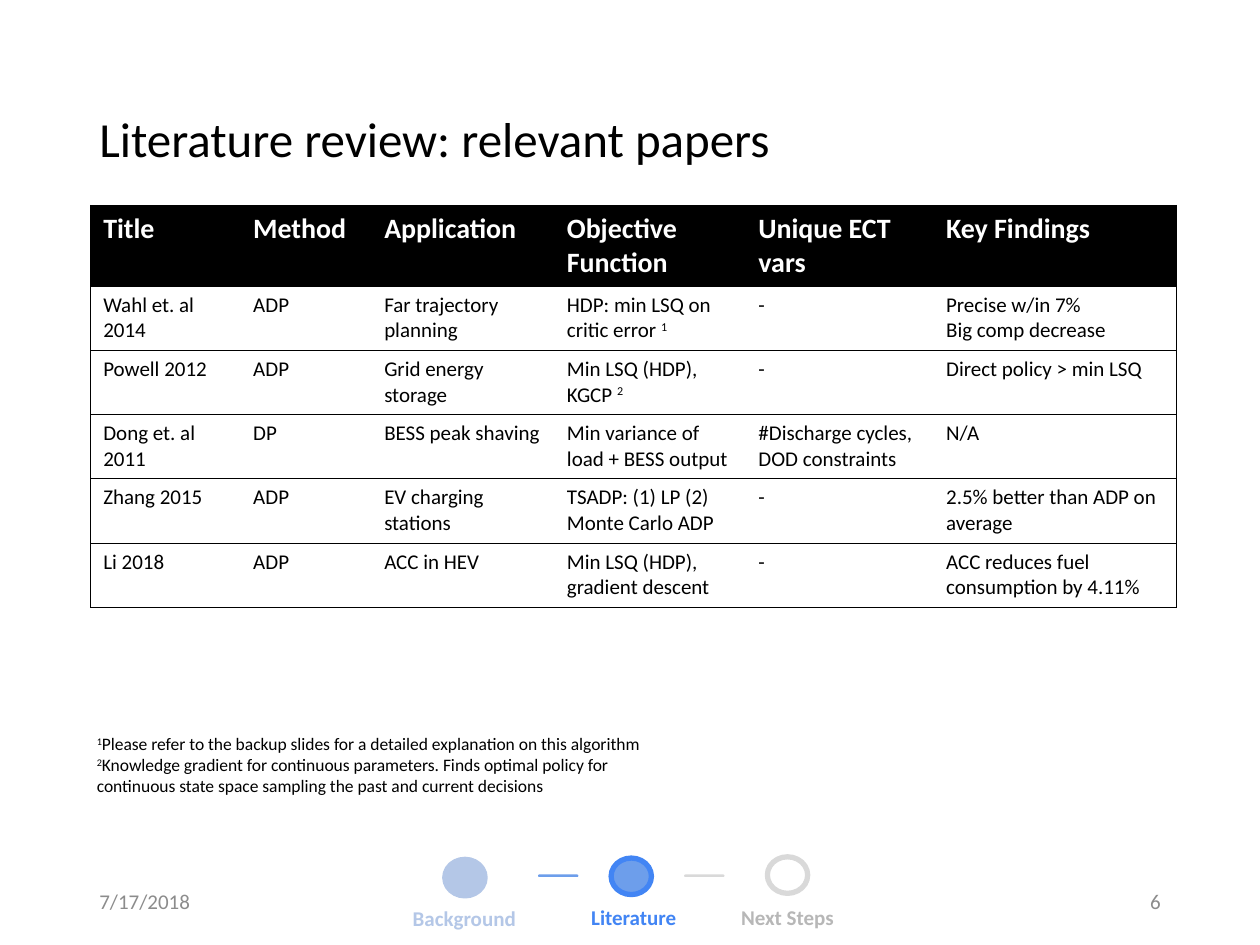
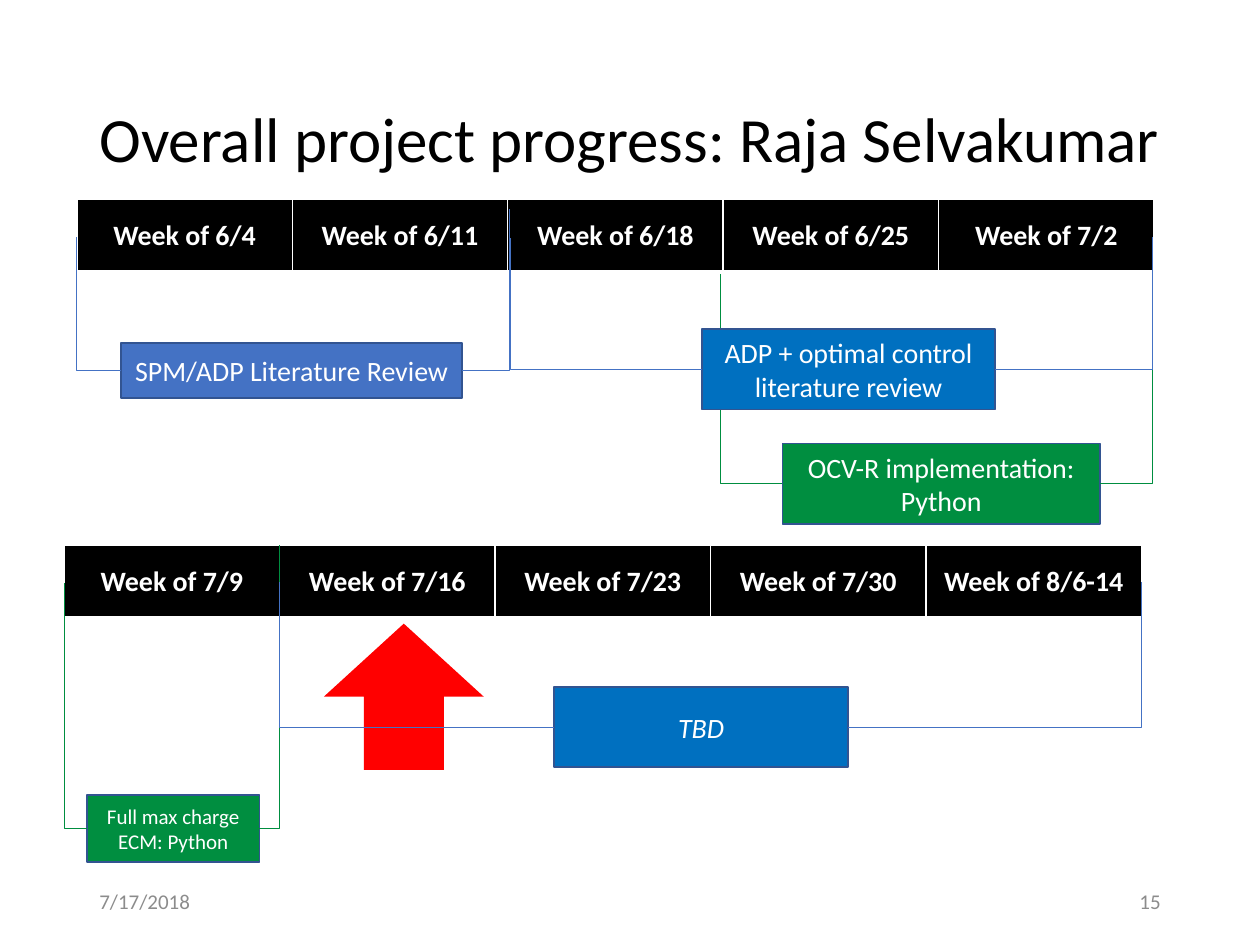
from lxml import etree
from pptx import Presentation
from pptx.dml.color import RGBColor
from pptx.enum.shapes import MSO_CONNECTOR, MSO_SHAPE
from pptx.enum.text import MSO_ANCHOR, PP_ALIGN
from pptx.oxml.ns import qn
from pptx.util import Emu, Pt

PX = 9144
FONT = "Calibri"
NO_TABLE_STYLE = "{2D5ABB26-0587-4C30-8999-92F81FD0307C}"
LEFT, CENTER, RIGHT = PP_ALIGN.LEFT, PP_ALIGN.CENTER, PP_ALIGN.RIGHT
TOP, MIDDLE, BOTTOM = MSO_ANCHOR.TOP, MSO_ANCHOR.MIDDLE, MSO_ANCHOR.BOTTOM
RECTANGLE, OVAL = MSO_SHAPE.RECTANGLE, MSO_SHAPE.OVAL
PILL, UP_ARROW = MSO_SHAPE.ROUNDED_RECTANGLE, MSO_SHAPE.UP_ARROW
ELBOW = MSO_CONNECTOR.ELBOW
LEFT_SITE, RIGHT_SITE = 1, 3

BLACK = RGBColor(0x00, 0x00, 0x00)
WHITE = RGBColor(0xFF, 0xFF, 0xFF)
FOOTER_GRAY = RGBColor(0x8C, 0x8C, 0x8C)
BLUE = RGBColor(0x44, 0x72, 0xC4)
DEEP_BLUE = RGBColor(0x00, 0x70, 0xC0)
OUTLINE = RGBColor(0x32, 0x54, 0x91)
GREEN = RGBColor(0x00, 0x8E, 0x40)
RED = RGBColor(0xFF, 0x00, 0x00)
PALE_BLUE = RGBColor(0xB4, 0xC7, 0xE7)
SOFT_BLUE = RGBColor(0x6D, 0x9E, 0xEB)
BRIGHT_BLUE = RGBColor(0x42, 0x85, 0xF4)
PALE_GRAY = RGBColor(0xD9, 0xD9, 0xD9)
LABEL_GRAY = RGBColor(0xB7, 0xB7, 0xB7)

PAPERS = [
    ["Title", "Method", "Application", "Objective Function",
     "Unique ECT vars", "Key Findings"],
    ["Wahl et. al 2014", "ADP", "Far trajectory planning",
     "HDP: min LSQ on critic error ^1^", "-",
     "Precise w/in 7%\nBig comp decrease"],
    ["Powell 2012", "ADP", "Grid energy storage",
     "Min LSQ (HDP), KGCP ^2^", "-", "Direct policy > min LSQ"],
    ["Dong et. al 2011", "DP", "BESS peak shaving",
     "Min variance of load + BESS output",
     "#Discharge cycles, DOD constraints", "N/A"],
    ["Zhang 2015", "ADP", "EV charging stations",
     "TSADP: (1) LP (2) Monte Carlo ADP", "-",
     "2.5% better than ADP on average"],
    ["Li 2018", "ADP", "ACC in HEV", "Min LSQ (HDP), gradient descent",
     "-", "ACC reduces fuel consumption by 4.11%"],
]
FOOTNOTES = (
    "^1^Please refer to the backup slides for a detailed explanation on this "
    "algorithm\n^2^Knowledge gradient for continuous parameters. Finds optimal "
    "policy for continuous state space sampling the past and current decisions"
)


def set_all(target, values):
    for name, value in values.items():
        setattr(target, name, value)


class Deck:
    def __init__(self):
        self.deck = Presentation()
        set_all(self.deck, {"slide_width": 1000 * PX, "slide_height": 750 * PX})
        self.page = None

    def add_page(self, title, size, number):
        self.page = self.deck.slides.add_slide(self.deck.slide_layouts[6])
        self.text((69, 40, 862, 145), title, size, anchor=MIDDLE, spacing=0.9)
        self.text((69, 695, 225, 40), "7/17/2018", 12, FOOTER_GRAY,
                  anchor=MIDDLE)
        self.text((706, 695, 225, 40), number, 12, FOOTER_GRAY,
                  align=RIGHT, anchor=MIDDLE)

    def place(self, area):
        return [Emu(length * PX) for length in area]

    def fill_text(self, frame, text, size, color=BLACK, align=LEFT,
                  spacing=1.0, **style):
        frame.word_wrap = True
        for index, line in enumerate(text.split("\n")):
            para = frame.add_paragraph() if index else frame.paragraphs[0]
            set_all(para, {"alignment": align, "line_spacing": spacing})
            for part, words in enumerate(line.split("^")):
                if not words:
                    continue
                span = para.add_run()
                span.text = words
                set_all(span.font, {"name": FONT, "size": Pt(size), **style})
                span.font.color.rgb = color
                if part % 2:
                    span.font._element.set("baseline", "30000")

    def text(self, area, text, size, color=BLACK, anchor=TOP, inset=None,
             **style):
        frame = self.page.shapes.add_textbox(*self.place(area)).text_frame
        frame.vertical_anchor = anchor
        if inset is not None:
            sides = ("left", "top", "right", "bottom")
            set_all(frame, {f"margin_{side}": inset * PX for side in sides})
        self.fill_text(frame, text, size, color, **style)

    def shape(self, kind, area, fill=None, line=None, width=1):
        box = self.page.shapes.add_shape(kind, *self.place(area))
        box.shadow.inherit = False
        for paint, color in ((box.fill, fill), (box.line.fill, line)):
            if color is None:
                paint.background()
            else:
                paint.solid()
                paint.fore_color.rgb = color
        if line is not None:
            box.line.width = Pt(width)
        return box

    def task(self, area, text, fill, size=16, **style):
        box = self.shape(RECTANGLE, area, fill, OUTLINE)
        box.text_frame.vertical_anchor = MIDDLE
        self.fill_text(box.text_frame, text, size, WHITE, CENTER, **style)
        return box

    def bracket(self, box, color, left_end, right_end):
        middle = box.top + box.height // 2
        ends = ((LEFT_SITE, box.left, left_end),
                (RIGHT_SITE, box.left + box.width, right_end))
        for site, start, end in ends:
            arm = self.page.shapes.add_connector(
                ELBOW, start, middle, *self.place(end))
            arm.begin_connect(box, site)
            arm.line.color.rgb = color
            arm.line.width = Pt(0.5)
            props = arm._element.spPr
            props.find(qn("a:prstGeom")).set("prst", "bentConnector2")
            etree.SubElement(props, qn("a:effectLst"))

    def table(self, left, top, widths, heights):
        area = (left, top, sum(widths), sum(heights))
        frame = self.page.shapes.add_table(
            len(heights), len(widths), *self.place(area))
        grid = frame.table
        set_all(grid, {"first_row": False, "horz_banding": False})
        grid._tbl.tblPr.find(qn("a:tableStyleId")).text = NO_TABLE_STYLE
        for column, width in zip(grid.columns, widths):
            column.width = Emu(width * PX)
        for row, height in zip(grid.rows, heights):
            row.height = Emu(height * PX)
        return grid

    def cell(self, cell, text, size, color, fill, borders, anchor=TOP,
             **style):
        cell.vertical_anchor = anchor
        self.fill_text(cell.text_frame, text, size, color, **style)
        props = cell._tc.get_or_add_tcPr()
        for side in "LRTB":
            if side not in borders:
                continue
            tint, width = borders[side]
            edge = etree.SubElement(props, qn(f"a:ln{side}"),
                                    w=str(int(Pt(width))))
            paint = etree.SubElement(edge, qn("a:solidFill"))
            etree.SubElement(paint, qn("a:srgbClr"), val=str(tint))
        if fill is None:
            cell.fill.background()
        else:
            cell.fill.solid()
            cell.fill.fore_color.rgb = fill

    def papers(self):
        widths = [119, 104, 145, 152, 149, 193]
        grid = self.table(72, 163, widths, [64] + [51] * 5)
        rule = (BLACK, 0.5)
        for row, texts in enumerate(PAPERS):
            for column, text in enumerate(texts):
                borders = {"T": rule, "B": rule}
                if column == 0:
                    borders["L"] = rule
                if column == len(widths) - 1:
                    borders["R"] = rule
                header = row == 0
                self.cell(grid.cell(row, column), text,
                          16 if header else 12, WHITE if header else BLACK,
                          BLACK if header else None, borders, bold=header)

    def weeks(self, left, top, names):
        grid = self.table(left, top, [171] * len(names), [58])
        borders = {side: (WHITE, 1) for side in "LRT"}
        borders["B"] = (WHITE, 3)
        for column, name in enumerate(names):
            self.cell(grid.cell(0, column), f"Week of {name}", 16, WHITE,
                      BLACK, borders, MIDDLE, align=CENTER, bold=True)

    def step(self, dot, label, name, fill, line, color):
        self.shape(OVAL, (*dot, 32, 29), fill, line, 3)
        self.text(label, name, 12, color, BOTTOM, 13, align=CENTER,
                  spacing=1.15, bold=True)

    def progress(self):
        for left, color in ((427, SOFT_BLUE), (543, PALE_GRAY)):
            self.shape(PILL, (left, 694, 32, 2), color).adjustments[0] = 0.5
        self.step((353, 682), (301, 723, 135, 27), "Background",
                  PALE_BLUE, PALE_BLUE, PALE_BLUE)
        self.step((485, 681), (447, 726, 112, 21), "Literature",
                  SOFT_BLUE, BRIGHT_BLUE, BRIGHT_BLUE)
        self.step((609, 680), (551, 726, 148, 22), "Next Steps",
                  None, PALE_GRAY, LABEL_GRAY)


def literature_page(deck):
    deck.add_page("Literature review: relevant papers", 28, "6")
    deck.progress()
    deck.papers()
    deck.text((67, 577, 461, 84), FOOTNOTES, 10)


def schedule_page(deck):
    deck.add_page("Overall project progress: Raja Selvakumar", 36, "15")
    python_task = deck.task((621, 352, 252, 64),
                            "OCV-R implementation: Python", GREEN)
    deck.bracket(python_task, GREEN, (572, 185), (915, 185))
    deck.weeks(61, 158, ["6/4", "6/11", "6/18", "6/25", "7/2"])
    review = deck.task((96, 272, 271, 44), "SPM/ADP Literature Review", BLUE)
    deck.bracket(review, BLUE, (61, 188), (404, 166))
    deck.weeks(51, 433, ["7/9", "7/16", "7/23", "7/30", "8/6-14"])
    control = deck.task((557, 261, 233, 64),
                        "ADP + optimal control literature review", DEEP_BLUE)
    deck.bracket(control, BLUE, (405, 189), (915, 188))
    deck.shape(UP_ARROW, (257, 495, 127, 116), RED)
    charge = deck.task((69, 631, 137, 53), "Full max charge ECM: Python",
                       GREEN, 12)
    deck.bracket(charge, GREEN, (51, 463), (222, 433))
    pending = deck.task((440, 545, 233, 64), "TBD", DEEP_BLUE, italic=True)
    deck.bracket(pending, BLUE, (222, 462), (906, 462))


def main():
    deck = Deck()
    literature_page(deck)
    schedule_page(deck)
    deck.deck.save("out.pptx")


if __name__ == "__main__":
    main()
